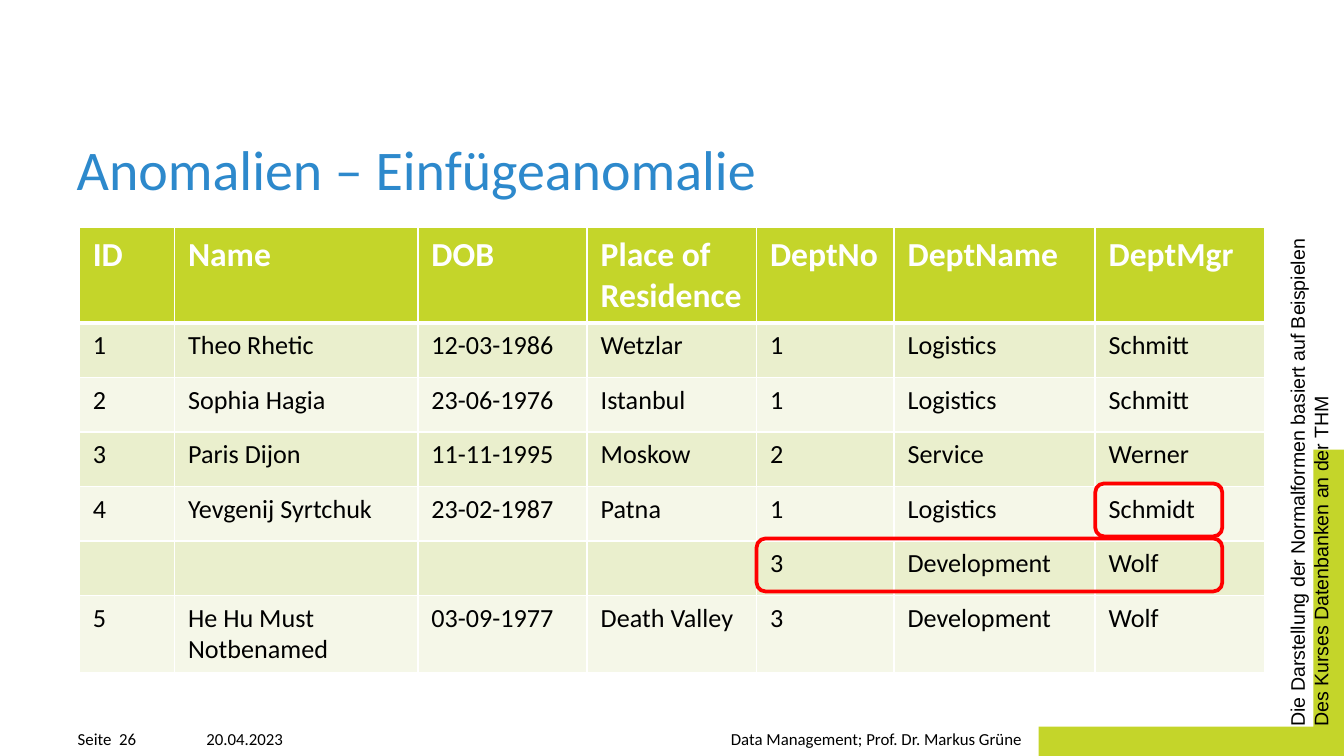
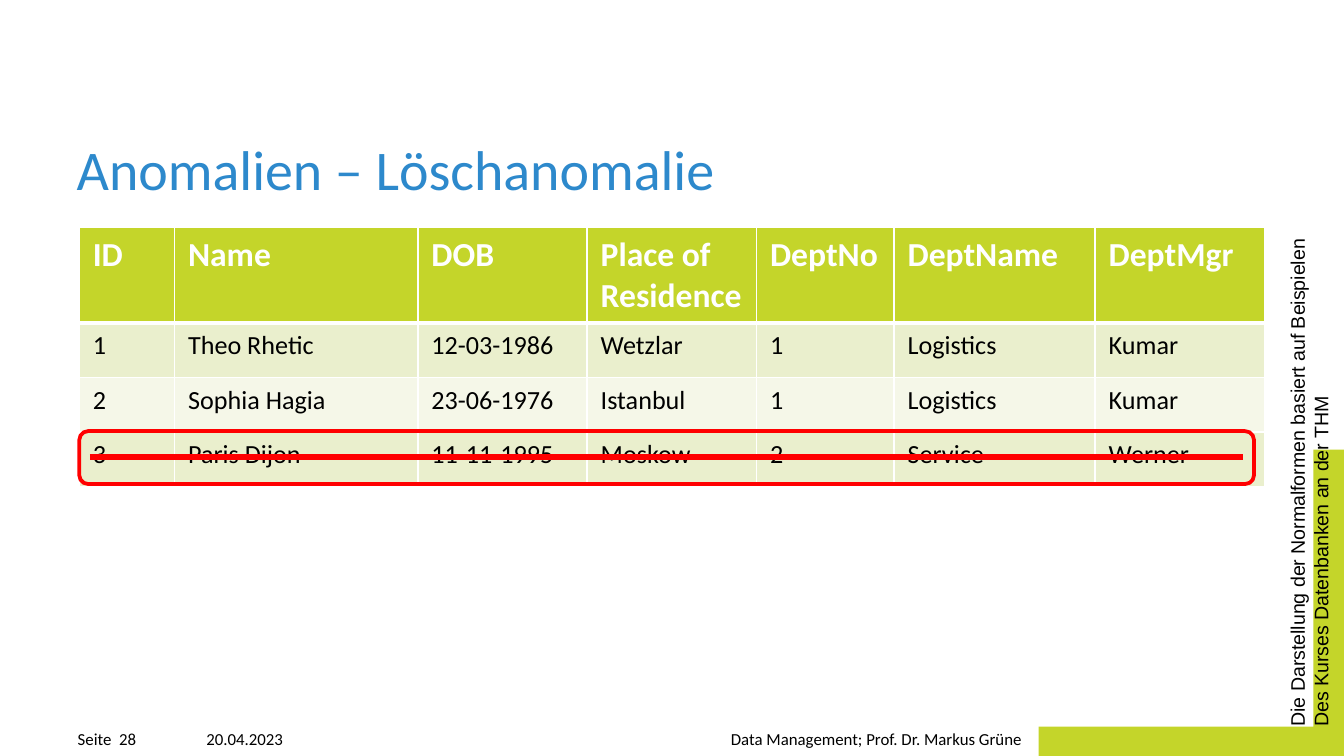
from lxml.etree import SubElement
from pptx import Presentation
from pptx.dml.color import RGBColor
from pptx.enum.shapes import MSO_CONNECTOR, MSO_SHAPE
from pptx.enum.text import MSO_ANCHOR, MSO_AUTO_SIZE, PP_ALIGN
from pptx.oxml import parse_xml
from pptx.oxml.ns import nsdecls, qn
from pptx.util import Cm, Pt

# Theme: colours, fonts and type sizes
THEME = {
    "lime": RGBColor.from_string("C4D52A"),
    "blue": RGBColor.from_string("2D89CC"),
    "red": RGBColor.from_string("FF0000"),
    "black": RGBColor.from_string("000000"),
    "white": RGBColor.from_string("FFFFFF"),
    "bands": [RGBColor.from_string("F5F7E8"), RGBColor.from_string("EAEFCD")],
    "title": {"name": "Calibri", "size": Pt(30), "bold": False},
    "header": {"name": "Calibri", "size": Pt(18), "bold": True},
    "body": {"name": "Calibri", "size": Pt(14), "bold": False},
    "footer": {"name": "Calibri", "size": Pt(9)},
    "credit": {"name": "Arial", "size": Pt(10.5)},
}
FRAME = {"margin_left": 0, "margin_top": 0, "margin_right": 0, "margin_bottom": 0,
         "word_wrap": True, "vertical_anchor": MSO_ANCHOR.BOTTOM,
         "auto_size": MSO_AUTO_SIZE.SHAPE_TO_FIT_TEXT}

# Content
COLUMNS = {"ID": 1.8, "Name": 4.6, "DOB": 3.2, "Place of Residence": 3.2,
           "DeptNo": 2.6, "DeptName": 3.8, "DeptMgr": 3.2}
ROW_HEIGHT = 1.03
THEO = ["1", "Theo Rhetic", "12-03-1986", "Wetzlar", "1", "Logistics"]
SOPHIA = ["2", "Sophia Hagia", "23-06-1976", "Istanbul", "1", "Logistics"]
PARIS = ["3", "Paris Dijon", "11-11-1995", "Moskow", "2", "Service", "Werner"]
SLIDES = [
    {
        "title": "Anomalien – Einfügeanomalie",
        "number": 26,
        "course_left": 11.3,
        "rows": [
            THEO + ["Schmitt"],
            SOPHIA + ["Schmitt"],
            PARIS,
            ["4", "Yevgenij Syrtchuk", "23-02-1987", "Patna", "1", "Logistics", "Schmidt"],
            ["", "", "", "", "3", "Development", "Wolf"],
            ["5", "He Hu Must Notbenamed", "03-09-1977", "Death Valley", "3",
             "Development", "Wolf"],
        ],
        "marks": [(20.7, 9.14, 2.4), (14.3, 10.18, 8.8)],
        "strikes": [],
    },
    {
        "title": "Anomalien – Löschanomalie",
        "number": 28,
        "course_left": 12.9,
        "rows": [THEO + ["Kumar"], SOPHIA + ["Kumar"], PARIS],
        "marks": [(1.5, 8.15, 22.2)],
        "strikes": [(1.7, 23.5, 8.64)],
    },
]
COURSE_RIGHT = 19.3


def write(frame, lines, style, color, frame_format=None, para_format=None):
    """Fill a text frame with one paragraph per line."""
    for name, value in (frame_format or {}).items():
        setattr(frame, name, value)
    for index, line in enumerate(lines):
        para = frame.add_paragraph() if index else frame.paragraphs[0]
        for name, value in (para_format or {}).items():
            setattr(para, name, value)
        span = para.add_run()
        span.text = line
        for name, value in THEME[style].items():
            setattr(span.font, name, value)
        span.font.color.rgb = color


def add_borders(cell, widths):
    """Draw white cell borders; widths are points by side."""
    properties = cell._tc.get_or_add_tcPr()
    for index, side in enumerate("LRTB"):
        border = parse_xml(f'<a:ln{side} {nsdecls("a")} w="{Pt(widths[side])}"><a:solidFill>'
                           f'<a:srgbClr val="{THEME["white"]}"/></a:solidFill></a:ln{side}>')
        properties.insert(index, border)


deck = Presentation()
deck.slide_width, deck.slide_height = Cm(25.4), Cm(14.29)
layout = deck.slide_layouts[5]

for number, content in enumerate(SLIDES):
    page = deck.slides.add_slide(layout)

    # Lime corner, kept on the shared layout
    if number == 0:
        corner = page.shapes.add_shape(MSO_SHAPE.CORNER, Cm(19.63), Cm(8.5), Cm(5.8), Cm(5.8))
        corner.adjustments[0], corner.adjustments[1] = 0.097, 0.105
        corner.shadow.inherit = False
        corner.fill.solid()
        corner.fill.fore_color.rgb = THEME["lime"]
        corner.line.fill.background()
        corner.element.spPr.find(qn("a:xfrm")).set("flipH", "1")
        layout.shapes.element.append(corner.element)

    # Title
    title = page.shapes.title
    title.left, title.top, title.width, title.height = Cm(1.45), Cm(2.74), Cm(22.45), Cm(1.1)
    write(title.text_frame, [content["title"]], "title", THEME["blue"],
          {**FRAME, "auto_size": MSO_AUTO_SIZE.NONE},
          {"alignment": PP_ALIGN.LEFT, "line_spacing": 0.9})

    # Table
    rows = [list(COLUMNS)] + content["rows"]
    table = page.shapes.add_table(len(rows), len(COLUMNS), Cm(1.5), Cm(4.3),
                                  Cm(sum(COLUMNS.values())), Cm(ROW_HEIGHT * len(rows))).table
    table.horz_banding = False
    for column, width in zip(table.columns, COLUMNS.values()):
        column.width = Cm(width)
    for row_index, row in enumerate(rows):
        is_header = row_index == 0
        table.rows[row_index].height = Cm(ROW_HEIGHT)
        for column_index, text in enumerate(row):
            cell = table.cell(row_index, column_index)
            cell.fill.solid()
            cell.fill.fore_color.rgb = THEME["lime"] if is_header else THEME["bands"][row_index % 2]
            add_borders(cell, {"L": 1, "R": 1, "T": 3 if row_index == 1 else 1,
                               "B": 3 if is_header else 1})
            if text:
                write(cell.text_frame, [text], "header" if is_header else "body",
                      THEME["white"] if is_header else THEME["black"])

    # Red frames around the affected cells
    for left, top, width in content["marks"]:
        mark = page.shapes.add_shape(MSO_SHAPE.ROUNDED_RECTANGLE,
                                     Cm(left), Cm(top), Cm(width), Cm(1))
        mark.shadow.inherit = False
        mark.fill.background()
        mark.line.color.rgb = THEME["red"]
        mark.line.width = Pt(2)

    # Line through the deleted row
    for start, end, height in content["strikes"]:
        strike = page.shapes.add_connector(MSO_CONNECTOR.STRAIGHT,
                                           Cm(start), Cm(height), Cm(end), Cm(height))
        strike.line.color.rgb = THEME["red"]
        strike.line.width = Pt(3)
        SubElement(strike.element.spPr, qn("a:effectLst"))

    # Footer: page number, date, course
    course_left = content["course_left"]
    for text, left, top, width, height, frame_format, para_format in [
        (f"Seite  {content['number']}", 1.47, 13.77, 1.4, 0.38, {"word_wrap": False}, {}),
        ("20.04.2023", 3.9, 13.69, 10, 0.46, {}, {"line_spacing": 1.2}),
        ("Data Management; Prof. Dr. Markus Grüne", course_left, 13.69,
         COURSE_RIGHT - course_left, 0.46, {},
         {"line_spacing": 1.2, "alignment": PP_ALIGN.RIGHT}),
    ]:
        box = page.shapes.add_textbox(Cm(left), Cm(top), Cm(width), Cm(height))
        write(box.text_frame, [text], "footer", THEME["black"],
              {**FRAME, **frame_format}, para_format)

    # Credit running up the right edge
    credit = page.shapes.add_textbox(Cm(20.04), Cm(8.58), Cm(9.4), Cm(0.9))
    credit.rotation = 270
    write(credit.text_frame,
          ["Die Darstellung der Normalformen basiert auf Beispielen",
           "Des Kurses Datenbanken an der THM"],
          "credit", THEME["black"], {**FRAME, "vertical_anchor": MSO_ANCHOR.TOP})

deck.save("out.pptx")
